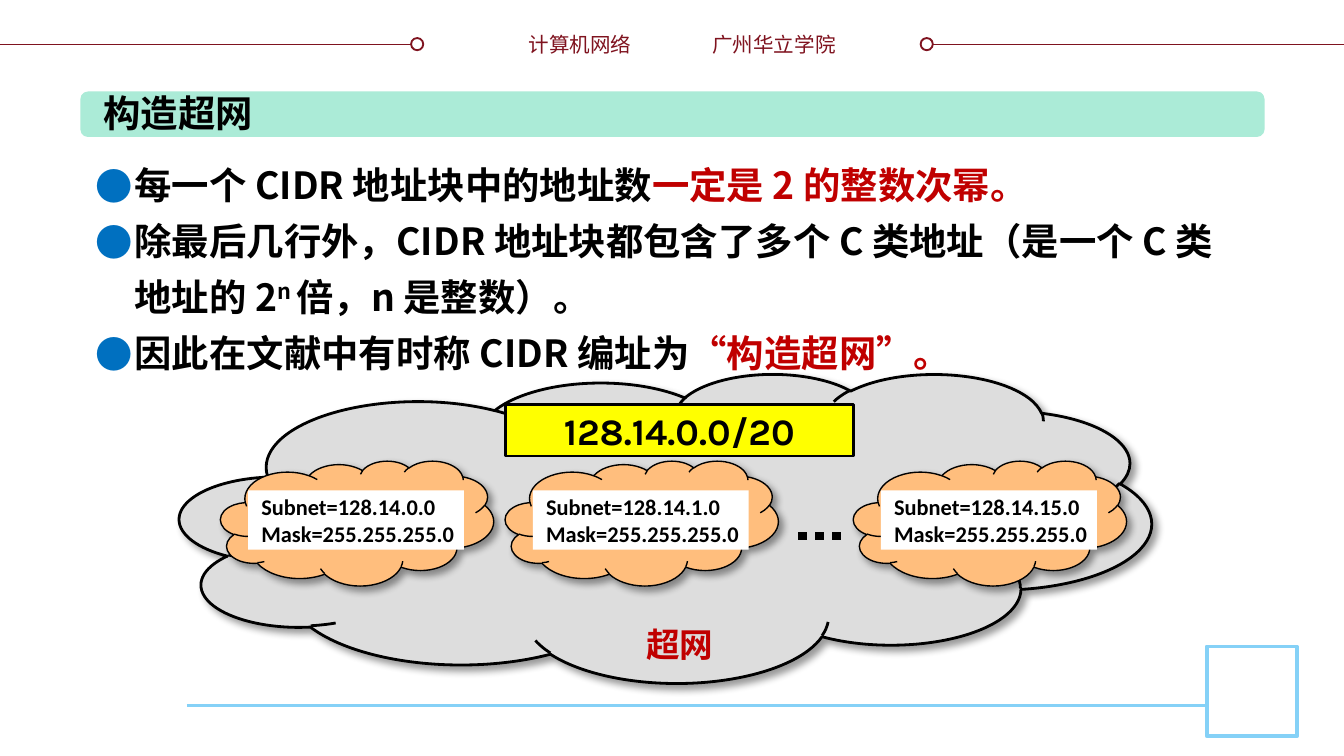
from dataclasses import dataclass

from lxml.etree import SubElement
from pptx import Presentation
from pptx.dml.color import RGBColor
from pptx.enum.dml import MSO_LINE
from pptx.enum.shapes import MSO_CONNECTOR, MSO_SHAPE
from pptx.enum.text import MSO_ANCHOR, MSO_AUTO_SIZE, PP_ALIGN
from pptx.oxml.ns import qn
from pptx.util import Cm, Pt

BLACK = RGBColor(0x00, 0x00, 0x00)
WHITE = RGBColor(0xFF, 0xFF, 0xFF)
MAROON = RGBColor(0x7F, 0x13, 0x1F)
SKY = RGBColor(0x85, 0xD1, 0xF7)
MINT = RGBColor(0xAB, 0xEB, 0xD7)
RED = RGBColor(0xC0, 0x00, 0x00)
BLUE = RGBColor(0x00, 0x70, 0xC0)
GRAY = RGBColor(0xDD, 0xDD, 0xDD)
ORANGE = RGBColor(0xFF, 0xBE, 0x7D)
YELLOW = RGBColor(0xFF, 0xFF, 0x00)
CHINESE = "Noto Sans CJK SC"


@dataclass
class Box:
    """Position and size in centimetres."""
    left: float
    top: float
    width: float
    height: float

    def lengths(self) -> tuple:
        return Cm(self.left), Cm(self.top), Cm(self.width), Cm(self.height)


@dataclass
class TextStyle:
    size: float
    color: RGBColor
    font: str = CHINESE
    bold: bool = True
    align: PP_ALIGN = PP_ALIGN.LEFT


@dataclass
class Subnet:
    left: float
    address: str


@dataclass
class Span:
    text: str
    color: RGBColor = BLACK
    superscript: bool = False


def style_paragraph(paragraph, style: TextStyle) -> None:
    paragraph.alignment = style.align
    font = paragraph.font
    font.size = Pt(style.size)
    font.bold = style.bold
    font.color.rgb = style.color
    font.name = style.font
    east_asian = SubElement(font._element, qn("a:ea"))
    east_asian.set("typeface", style.font)


def write(shape, text: str, style: TextStyle, wrap: bool = False) -> None:
    frame = shape.text_frame
    frame.text = text
    frame.word_wrap = wrap
    frame.auto_size = MSO_AUTO_SIZE.NONE
    frame.vertical_anchor = MSO_ANCHOR.MIDDLE
    for paragraph in frame.paragraphs:
        style_paragraph(paragraph, style)


def place(shape, box: Box) -> None:
    shape.left, shape.top, shape.width, shape.height = box.lengths()


def add_figure(slide, kind: MSO_SHAPE, box: Box, fill: RGBColor,
               line: RGBColor | None = None, weight: float = 1):
    shape = slide.shapes.add_shape(kind, *box.lengths())
    shape.shadow.inherit = False
    shape.fill.solid()
    shape.fill.fore_color.rgb = fill
    if line is None:
        shape.line.fill.background()
    else:
        shape.line.color.rgb = line
        shape.line.width = Pt(weight)
    return shape


def add_line(slide, start: float, end: float, y: float, color: RGBColor, weight: float):
    line = slide.shapes.add_connector(MSO_CONNECTOR.STRAIGHT, Cm(start), Cm(y), Cm(end), Cm(y))
    line.line.color.rgb = color
    line.line.width = Pt(weight)
    SubElement(line._element.spPr, qn("a:effectLst"))
    return line


def add_label(slide, box: Box, text: str, style: TextStyle) -> None:
    write(slide.shapes.add_textbox(*box.lengths()), text, style)


def add_cloud(slide, box: Box, fill: RGBColor, weight: float) -> None:
    cloud = add_figure(slide, MSO_SHAPE.CLOUD, box, fill, BLACK, weight)
    effects = cloud._element.spPr.find(qn("a:effectLst"))
    shadow = SubElement(effects, qn("a:outerShdw"), blurRad=str(Pt(4)), dist=str(Pt(3)),
                        dir="2700000", algn="tl", rotWithShape="0")
    color = SubElement(shadow, qn("a:srgbClr"), val=str(BLACK))
    SubElement(color, qn("a:alpha"), val="40000")


def add_subnet(slide, subnet: Subnet) -> None:
    add_cloud(slide, Box(subnet.left, 8.71, 5.16, 2.36), ORANGE, 0.75)
    label = add_figure(slide, MSO_SHAPE.RECTANGLE, Box(subnet.left + 0.52, 9.27, 4.08, 1.12), WHITE)
    write(label, f"Subnet={subnet.address}\nMask=255.255.255.0", TextStyle(12, BLACK, "Calibri"))


def write_bullet(paragraph, spans: list[Span]) -> None:
    paragraph.line_spacing = Pt(30)
    paragraph.space_before = Pt(0)
    properties = paragraph._p.get_or_add_pPr()
    properties.set("marL", str(Cm(0.74)))
    properties.set("indent", str(-Cm(0.74)))
    bullet_color = SubElement(properties, qn("a:buClr"))
    SubElement(bullet_color, qn("a:srgbClr"), val=str(BLUE))
    SubElement(properties, qn("a:buFont"), typeface=CHINESE)
    SubElement(properties, qn("a:buChar"), char="●")
    style_paragraph(paragraph, TextStyle(20, BLACK))
    for span in spans:
        run = paragraph.add_run()
        run.text = span.text
        run.font.color.rgb = span.color
        if span.superscript:
            run.font._element.set("baseline", "30000")


BULLETS = [
    [Span("每一个 CIDR 地址块中的地址数"), Span("一定是 2 的整数次幂。", RED)],
    [Span("除最后几行外，CIDR 地址块都包含了多个 C 类地址（是一个 C 类地址的 2"),
     Span("n ", superscript=True), Span("倍，n 是整数）。")],
    [Span("因此在文献中有时称 CIDR 编址为"), Span("“构造超网”。", RED)],
]
SUBNETS = [Subnet(4.17, "128.14.0.0"), Subnet(9.55, "128.14.1.0"), Subnet(16.13, "128.14.15.0")]


def main() -> None:
    presentation = Presentation()
    presentation.slide_width, presentation.slide_height = Cm(25.4), Cm(14.29)
    slide = presentation.slides.add_slide(presentation.slide_layouts[1])

    # Header
    for start, end, circle_left in ((0, 8, 7.77), (17.4, 25.4, 17.4)):
        add_line(slide, start, end, 0.84, MAROON, 1)
        add_figure(slide, MSO_SHAPE.OVAL, Box(circle_left, 0.72, 0.23, 0.23), WHITE, MAROON)
    add_label(slide, Box(9.73, 0.46, 2.46, 0.74), "计算机网络",
              TextStyle(11, MAROON, bold=False, align=PP_ALIGN.RIGHT))
    add_label(slide, Box(13.21, 0.46, 2.95, 0.74), "广州华立学院",
              TextStyle(11, MAROON, bold=False))

    # Footer
    add_line(slide, 3.53, 22.81, 13.34, SKY, 1.5)
    add_figure(slide, MSO_SHAPE.RECTANGLE, Box(22.81, 12.22, 1.7, 1.7), WHITE, SKY, 2)

    # Title on its bar
    title = slide.shapes.title
    place(title, Box(1.7, 1.57, 3.35, 1.12))
    write(title, "构造超网", TextStyle(20, BLACK))
    bar = add_figure(slide, MSO_SHAPE.ROUNDED_RECTANGLE, Box(1.52, 1.73, 22.38, 0.86), MINT)
    title._element.addprevious(bar._element)

    # Bullet list
    body = slide.placeholders[1]
    place(body, Box(1.55, 2.72, 22.33, 4.52))
    frame = body.text_frame
    frame.auto_size = MSO_AUTO_SIZE.NONE
    frame.vertical_anchor = MSO_ANCHOR.TOP
    for index, spans in enumerate(BULLETS):
        write_bullet(frame.add_paragraph() if index else frame.paragraphs[0], spans)

    # Supernet cloud with its subnets
    add_cloud(slide, Box(3.4, 7.06, 18.36, 5.84), GRAY, 1.5)
    for subnet in SUBNETS:
        add_subnet(slide, subnet)
    dots = add_line(slide, 15.09, 16, 10.13, BLACK, 4.5)
    dots.line.dash_style = MSO_LINE.ROUND_DOT
    block = add_figure(slide, MSO_SHAPE.RECTANGLE, Box(9.55, 7.65, 6.58, 0.97), YELLOW, BLACK, 1.5)
    write(block, "128.14.0.0/20", TextStyle(20, BLACK, "Karla", align=PP_ALIGN.CENTER), wrap=True)
    add_label(slide, Box(11.96, 11.66, 1.8, 1.02), "超网", TextStyle(18, RED))

    presentation.save("out.pptx")


if __name__ == "__main__":
    main()
